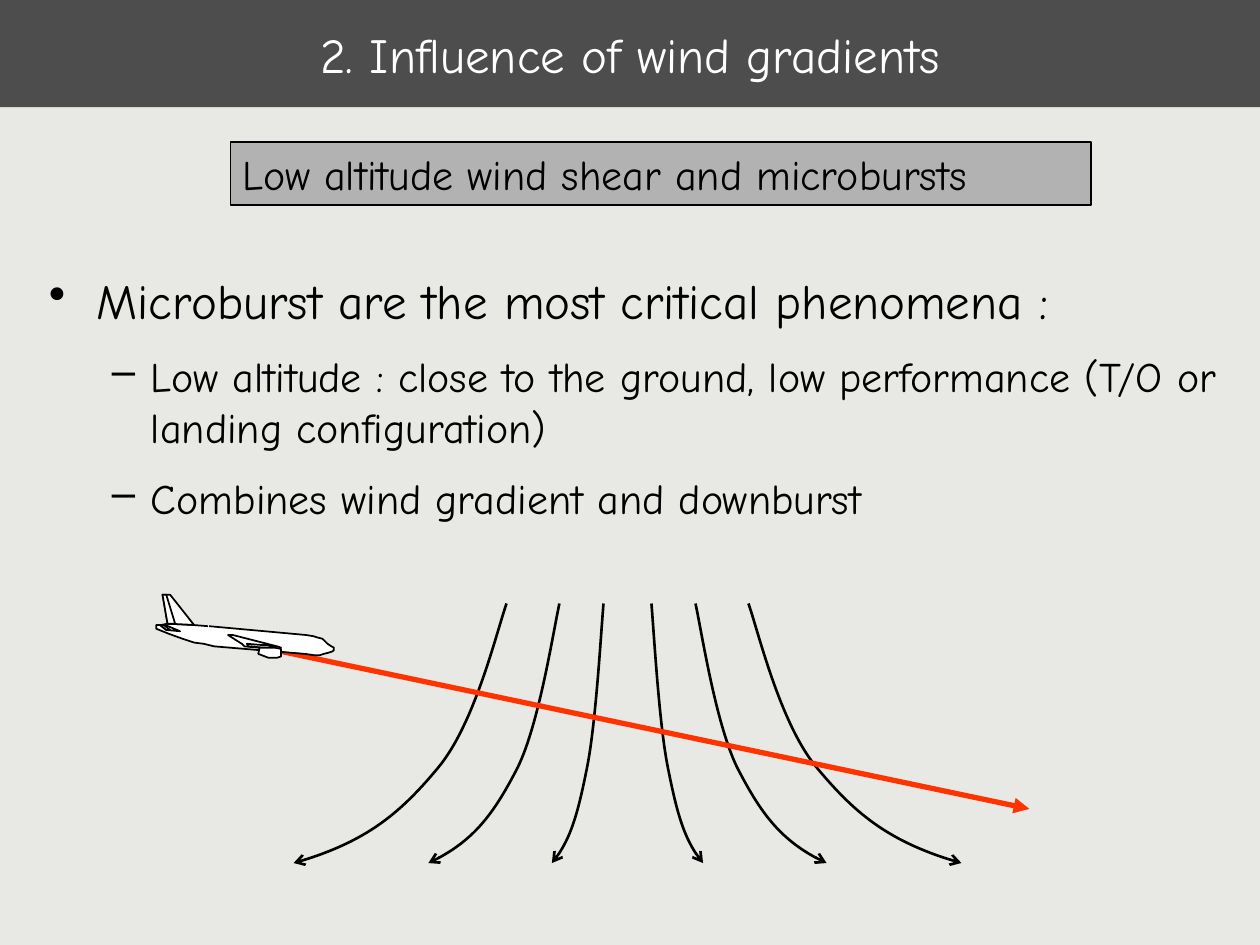
import pptx
import pptx.util
import pptx.dml.color
import pptx.enum.shapes
import pptx.enum.text
import pptx.oxml.ns
from lxml import etree

Pt = pptx.util.Pt
RGB = pptx.dml.color.RGBColor.from_string
qn = pptx.oxml.ns.qn
Kind = pptx.enum.shapes.MSO_SHAPE
Align = pptx.enum.text.PP_ALIGN
Anchor = pptx.enum.text.MSO_ANCHOR
STRAIGHT = pptx.enum.shapes.MSO_CONNECTOR.STRAIGHT

theme = {
    "font": "Comic Neue", "big": 28, "mid": 24,
    "back": "E8E8E4", "bar": "4D4D4D", "box": "B2B2B2",
    "ink": "000000", "white": "FFFFFF", "route": "FF3300",
}

deck = pptx.Presentation()
deck.slide_width, deck.slide_height = pptx.util.Inches(10), pptx.util.Inches(7.5)
unit = deck.slide_width // 1000  # grid of 1000 columns by 750 rows


def cells(*grid):
    return [n * unit for n in grid]


def paint(shape, fill=None, line=None, width=1, head=None):
    """Set fill, line, arrowhead at the end, and no shadow."""
    if hasattr(shape, "fill"):
        if fill:
            shape.fill.solid()
            shape.fill.fore_color.rgb = RGB(theme[fill])
        else:
            shape.fill.background()
    if line:
        shape.line.color.rgb = RGB(theme[line])
        shape.line.width = Pt(width)
    else:
        shape.line.fill.background()
    if head:
        etree.SubElement(shape.line._get_or_add_ln(), qn("a:tailEnd"), type=head)
    etree.SubElement(shape._element.spPr, qn("a:effectLst"))


slide = deck.slides.add_slide(deck.slide_layouts[5])
slide.background.fill.solid()
slide.background.fill.fore_color.rgb = RGB(theme["back"])

# Title bar
title = slide.shapes.title
title.left, title.top, title.width, title.height = cells(0, 0, 1000, 85)
paint(title, "bar")
title.text_frame.text = "2. Influence of wind gradients"
title.text_frame.vertical_anchor = Anchor.MIDDLE

# Bulleted text: level, words
items = [
    (0, "Microburst are the most critical phenomena :"),
    (1, "Low altitude : close to the ground, low performance (T/O or landing configuration)"),
    (1, "Combines wind gradient and downburst"),
]
marks = [("•", 38, 38), ("–", 81, 31)]  # sign, margin, hanging indent
body = slide.shapes.add_textbox(*cells(29, 210, 946, 499)).text_frame
body.word_wrap = True
for i, (level, words) in enumerate(items):
    para = body.paragraphs[0] if i == 0 else body.add_paragraph()
    para.text, para.level, para.alignment = words, level, Align.JUSTIFY
    if i:
        para.space_before = Pt(12)
    sign, margin, hang = marks[level]
    props = para._p.get_or_add_pPr()
    props.set("marL", str(margin * unit))
    props.set("indent", str(-hang * unit))
    tint = etree.SubElement(props, qn("a:buClr"))
    etree.SubElement(tint, qn("a:srgbClr"), val=theme["ink"])
    etree.SubElement(props, qn("a:buChar"), char=sign)

# Downburst: three streamlines and their mirror images
center, top, drop = 498, 479, 206
across = [0, 0.05, 0.15, 0.32, 0.49, 0.66, 1]
down = [0, 0.11, 0.46, 0.63, 0.8, 0.92, 1]
burst = slide.shapes.add_group_shape().shapes
for side in (-1, 1):
    for start, reach in [(54, 104), (96, 169), (19, 41)]:
        dots = [(round(center + side * (start + reach * a)), round(top + drop * d))
                for a, d in zip(across, down)]
        pen = burst.build_freeform(*dots[0], scale=unit)
        pen.add_line_segments(dots[1:], close=False)
        stream = pen.convert_to_shape()
        # Turn each three straight segments into one Bezier curve
        steps = list(stream._element.iter(qn("a:lnTo")))
        trace = steps[0].getparent()
        for k in range(0, len(steps), 3):
            curve = etree.SubElement(trace, qn("a:cubicBezTo"))
            for step in steps[k:k + 3]:
                curve.append(step[0])
                trace.remove(step)
        paint(stream, None, "ink", 1.5, "arrow")

# Flight path
route = slide.shapes.add_connector(STRAIGHT, *cells(223, 517, 817, 642))
paint(route, None, "route", 3, "triangle")

# Aircraft
plane = slide.shapes.add_group_shape().shapes
hull = plane.add_shape(Kind.RECTANGLE, *cells(163, 501, 82, 14))
hull.rotation = 5.1
paint(hull, "white")
for ends in [(243, 504, 166, 497), (242, 519, 170, 513)]:
    paint(plane.add_connector(STRAIGHT, *cells(*ends)), None, "ink")

nose = [(243, 504), (249, 505), (252, 506), (256, 507), (258, 509), (260, 511),
        (263, 513), (265, 514), (265, 516), (264, 517), (261, 518), (257, 519),
        (254, 520), (249, 520), (242, 519)]
rear = [(165, 497), (153, 496), (133, 495), (128, 496), (124, 496), (124, 499),
        (134, 503), (145, 507), (154, 510), (162, 511), (170, 513)]
fin = [(154, 496), (135, 472), (129, 472), (133, 495), (154, 496)]
rudder = [(139, 495), (132, 472), (129, 472), (133, 495), (139, 495)]
flap = [(219, 514), (213, 512), (208, 512), (196, 511), (197, 513), (208, 514),
        (211, 514), (219, 514)]
tail = [(143, 501), (131, 496), (127, 496), (132, 500), (143, 501)]
edge = [(135, 500), (130, 496), (127, 496), (132, 500), (135, 500)]
wing = [(181, 504), (185, 504), (220, 513), (223, 514), (221, 515), (215, 515),
        (205, 514), (194, 513), (192, 511), (181, 504)]
engine = [(223, 515), (223, 521), (220, 522), (216, 522), (213, 522), (205, 519),
          (206, 514), (211, 514), (218, 514), (223, 515)]
for part in [nose, rear, fin, rudder, flap, tail, edge, wing, engine]:
    pen = plane.build_freeform(*part[0], scale=unit)
    pen.add_line_segments(part[1:], close=part[0] == part[-1])
    paint(pen.convert_to_shape(), None if part is wing else "white", "ink")

# Topic label
label = slide.shapes.add_shape(Kind.RECTANGLE, *cells(183, 113, 683, 50))
paint(label, "box", "ink")
label.text_frame.text = "Low altitude wind shear and microbursts"
label.text_frame.vertical_anchor = Anchor.TOP
label.text_frame.word_wrap = True
label.text_frame.paragraphs[0].alignment = Align.LEFT

# Type
head, topic = title.text_frame.paragraphs[0], label.text_frame.paragraphs[0]
head.alignment = Align.CENTER
for para in [head, topic, *body.paragraphs]:
    large = para in (head, body.paragraphs[0]) or para._p is body.paragraphs[0]._p
    para.font.name = theme["font"]
    para.font.size = Pt(theme["big" if large else "mid"])
    para.font.color.rgb = RGB(theme["white" if para is head else "ink"])

deck.save("out.pptx")
